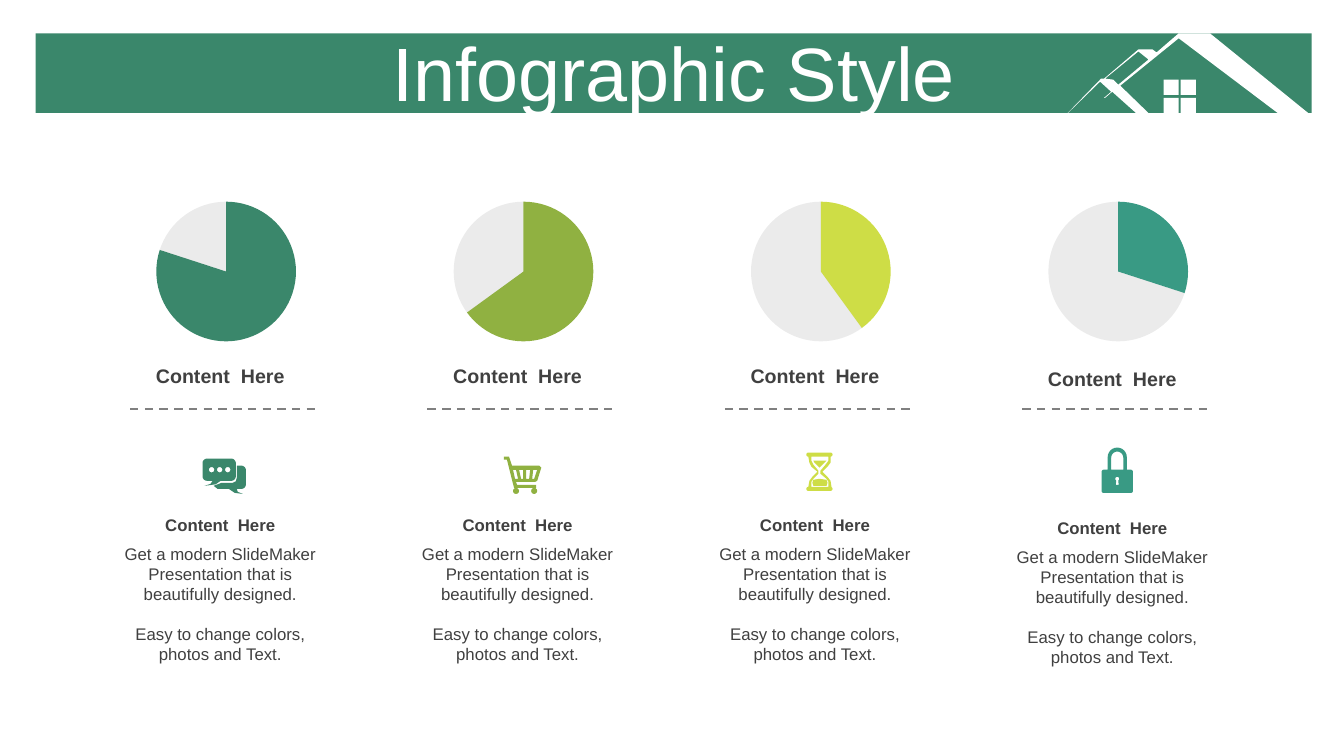
from math import cos, radians, sin

from lxml.etree import SubElement
from pptx import Presentation
from pptx.chart.data import CategoryChartData
from pptx.dml.color import RGBColor
from pptx.enum.chart import XL_CHART_TYPE
from pptx.enum.dml import MSO_LINE
from pptx.enum.shapes import MSO_CONNECTOR, MSO_SHAPE
from pptx.enum.text import MSO_ANCHOR, PP_ALIGN
from pptx.oxml import parse_xml
from pptx.oxml.ns import qn
from pptx.util import Pt

FONT = "Arial"
DARK = "404040"
CHART_NS = "http://schemas.openxmlformats.org/drawingml/2006/chart"
OUTLINE_UNIT = 0.72
PRECISION = 100
COLUMN_LEFT, COLUMN_PITCH, COLUMN_WIDTH = 87.1, 212.4, 147.6


def rgb(color):
    """Turn a hex string into a colour."""
    return RGBColor.from_string(color)


def fill_solid(shape, color):
    """Give a shape a flat fill without line or shadow."""
    shape.fill.solid()
    shape.fill.fore_color.rgb = rgb(color)
    shape.line.fill.background()
    shape.shadow.inherit = False


def add_text(slide, text, left, top, width, height, size=12, color=DARK, bold=False,
             anchor=MSO_ANCHOR.MIDDLE, insets=(0, 3.6, 7.2, 3.6), gap=0,
             space_before=0, line_spacing=None):
    """Add a centred text box; each line of the text is a paragraph."""
    box = slide.shapes.add_textbox(Pt(left), Pt(top), Pt(width), Pt(height))
    frame = box.text_frame
    frame.word_wrap = True
    frame.vertical_anchor = anchor
    (frame.margin_left, frame.margin_top,
     frame.margin_right, frame.margin_bottom) = map(Pt, insets)
    frame.text = text
    for index, paragraph in enumerate(frame.paragraphs):
        paragraph.alignment = PP_ALIGN.CENTER
        paragraph.space_before = Pt(gap if index else space_before)
        paragraph.line_spacing = line_spacing
        font = paragraph.runs[0].font
        font.name, font.size, font.bold = FONT, Pt(size), bold
        font.color.rgb = rgb(color)


def arc(x, y, radius, start, end):
    """List points along a clockwise arc, angles in degrees."""
    steps = 12
    angles = [radians(start + (end - start) * step / steps) for step in range(steps + 1)]
    return [(x + radius * cos(angle), y + radius * sin(angle)) for angle in angles]


def add_outline(slide, left, top, contours, color):
    """Draw closed contours as one shape, inner contours being holes."""
    scaled = [[(x * PRECISION, y * PRECISION) for x, y in contour] for contour in contours]
    builder = slide.shapes.build_freeform(*scaled[0][0], scale=Pt(OUTLINE_UNIT) / PRECISION)
    for index, contour in enumerate(scaled):
        if index:
            builder.move_to(*contour[0])
        builder.add_line_segments(contour[1:], close=True)
    fill_solid(builder.convert_to_shape(Pt(left), Pt(top)), color)


def house():
    """List the contours of the roofs and window."""
    panes = [[(x, y), (x + 15, y), (x + 15, y + 15), (x, y + 15)]
             for x in (99, 116) for y in (46, 64)]
    gable = [(74, 18), (41, 45), (49, 46), (54, 51), (84, 26)]
    roof = [(114, 0), (145, 0), (246, 82), (216, 82), (114, 5), (56, 52), (88, 83),
            (76, 83), (48, 58), (41, 64), (40, 64), (47, 58), (36, 48), (0, 83),
            (37, 45), (40, 45), (74, 16), (88, 16), (92, 19)]
    return [roof, gable, *panes]


def chat():
    """List the contours of two speech bubbles."""
    front = [*arc(4.5, 4.5, 4.5, 180, 270), *arc(28.5, 4.5, 4.5, 270, 360),
             *arc(28.5, 17.5, 4.5, 0, 90), (18, 22), (13, 25.5), (2, 27), (8, 25),
             (10, 22), *arc(4.5, 17.5, 4.5, 90, 180)]
    back = [(34, 7), *arc(38.5, 11.5, 4.5, 270, 360), *arc(38.5, 25.5, 4.5, 0, 90),
            (34, 30), (35, 33), (40, 35), (32, 34), (26, 30), (15, 30), (11, 27),
            (19, 24), (30, 24), (33, 22.5), (34, 19)]
    return [front, back, *(arc(x, 11, 2.7, 0, 360) for x in (9, 17, 25))]


def cart():
    """List the contours of a shopping cart."""
    frame = [(0, 0), (5, 0), (8, 9), (35, 9), (37, 11), (33, 24), (31, 25), (12, 25),
             (13, 28), (32, 28), (32, 31), (10, 31), (3, 3), (0, 3)]
    slots = [[(a, 13), (b, 22), (c, 22), (d, 13)] for a, b, c, d in
             ((9, 11, 14, 12), (15, 17, 19, 19), (22, 22, 25, 26), (29, 28, 30, 33))]
    return [frame, *slots, *(arc(x, 34, 3, 0, 360) for x in (12, 30))]


def hourglass():
    """List the contours of an hourglass."""
    body = [*arc(2, 2, 2, 90, 270), *arc(24, 2, 2, 270, 450), (24, 10), (21, 14),
            (16, 19), (21, 24), (24, 28), (25, 34), *arc(24, 36, 2, 270, 450),
            *arc(2, 36, 2, 90, 270), (3, 28), (6, 24), (11, 19), (5, 14), (3, 10)]
    glass = [(5, 4), (5, 8), (7, 12), (12, 18), (12, 21), (7, 26), (5, 29), (5, 34),
             (22, 34), (22, 29), (20, 26), (14, 21), (14, 18), (19, 12), (22, 8), (22, 4)]
    upper_sand = [(7, 8), (20, 8), (18, 10), (13, 15), (8, 10)]
    lower_sand = [(7, 27), (13, 26), (20, 27), (21, 30), (20, 33), (7, 33), (6, 30)]
    return [body, glass, upper_sand, lower_sand]


def lock():
    """List the contours of a padlock."""
    body = [*arc(15.5, 9.5, 9.5, 180, 360), (25, 22), *arc(29, 24, 2, 270, 360),
            *arc(29, 43, 2, 0, 90), *arc(2, 43, 2, 90, 180),
            *arc(2, 24, 2, 180, 270), (6, 22)]
    shackle = [*arc(15.5, 10, 6, 180, 360), (21.5, 22), (9.5, 22)]
    keyhole = [*arc(15.5, 31, 2, 120, 420), (17, 37), (14, 37)]
    return [body, shackle, keyhole]


def add_banner(slide, left, top, width, height):
    """Add the title bar with its house."""
    bar = slide.shapes.add_shape(MSO_SHAPE.RECTANGLE, Pt(left), Pt(top), Pt(width), Pt(height))
    fill_solid(bar, "3A876B")
    add_outline(slide, left + width - 177.1, top, house(), "FFFFFF")
    add_text(slide, "Infographic Style", left, top + 2.9, width, height, size=54,
             color="FFFFFF", insets=(7.2, 3.6, 7.2, 3.6), space_before=10, line_spacing=0.9)


def add_pie(slide, left, top, width, height, share, color):
    """Add a pie showing a share of one hundred."""
    data = CategoryChartData()
    data.categories = ["1", "2"]
    data.add_series("Series 1", (share, 100 - share))
    chart = slide.shapes.add_chart(XL_CHART_TYPE.PIE, Pt(left), Pt(top), Pt(width),
                                   Pt(height), data).chart
    chart.has_legend = chart.has_title = False
    chart.font.name, chart.font.size = FONT, Pt(18)
    chart.font.color.rgb = rgb("000000")
    plot = chart.plots[0]
    plot.vary_by_categories = False
    for index, point_color in enumerate((color, DARK)):
        point_format = plot.series[0].points[index].format
        point_format.fill.solid()
        point_format.fill.fore_color.rgb = rgb(point_color)
        point_format.line.fill.background()
    rest = list(plot.series[0]._element.iter(qn("a:srgbClr")))[-1]
    SubElement(rest, qn("a:alpha"), val="10000")
    plot_area = chart._chartSpace.chart.plotArea
    for layout in plot_area.findall(qn("c:layout")):
        plot_area.remove(layout)
    plot_area.insert(0, parse_xml(
        f'<c:layout xmlns:c="{CHART_NS}"><c:manualLayout><c:layoutTarget val="inner"/>'
        '<c:xMode val="edge"/><c:yMode val="edge"/><c:x val="0.26"/><c:y val="0.08"/>'
        '<c:w val="0.49"/><c:h val="0.84"/></c:manualLayout></c:layout>'))


def add_divider(slide, left, top, width):
    """Add a dashed horizontal line."""
    line = slide.shapes.add_connector(MSO_CONNECTOR.STRAIGHT, Pt(left), Pt(top),
                                      Pt(left + width), Pt(top))
    line.line.color.rgb = rgb("808080")
    line.line.width = Pt(1.5)
    line.line.dash_style = MSO_LINE.DASH
    SubElement(line._element.spPr, qn("a:effectLst"))


def add_column(slide, left, top, width, share, color, icon, icon_x, icon_y, text_drop):
    """Add a pie, heading, divider, icon and description."""
    add_pie(slide, left - 28.8, top, 204.5, 118.8, share, color)
    add_text(slide, "Content  Here", left, top + 121.7 + text_drop, width, 24.5,
             size=14, bold=True)
    add_divider(slide, left + 5.8, top + 157.7, 136)
    add_outline(slide, left + icon_x, top + icon_y, icon(), color)
    add_text(slide, "Content  Here", left, top + 229.7 + text_drop, width, 21.6, bold=True)
    add_text(slide, "Get a modern SlideMaker Presentation that is beautifully designed.\n"
             "Easy to change colors, photos and Text.", left, top + 249.9 + text_drop,
             width, 94.3, anchor=MSO_ANCHOR.TOP, gap=14.4)


def main():
    """Build the slide and save it."""
    presentation = Presentation()
    presentation.slide_width, presentation.slide_height = Pt(960), Pt(540)
    slide = presentation.slides.add_slide(presentation.slide_layouts[6])
    add_banner(slide, 25.5, 23.8, 911.5, 56.9)
    columns = ((80, "3A876B", chat, 57.6, 193, 0), (65, "90B141", cart, 60.5, 191.6, 0),
               (40, "CEDD46", hourglass, 64.1, 188.7, 0), (30, "399A84", lock, 62.6, 185.1, 2.2))
    for index, column in enumerate(columns):
        add_column(slide, COLUMN_LEFT + index * COLUMN_PITCH, 134.6, COLUMN_WIDTH, *column)
    presentation.save("out.pptx")


if __name__ == "__main__":
    main()
